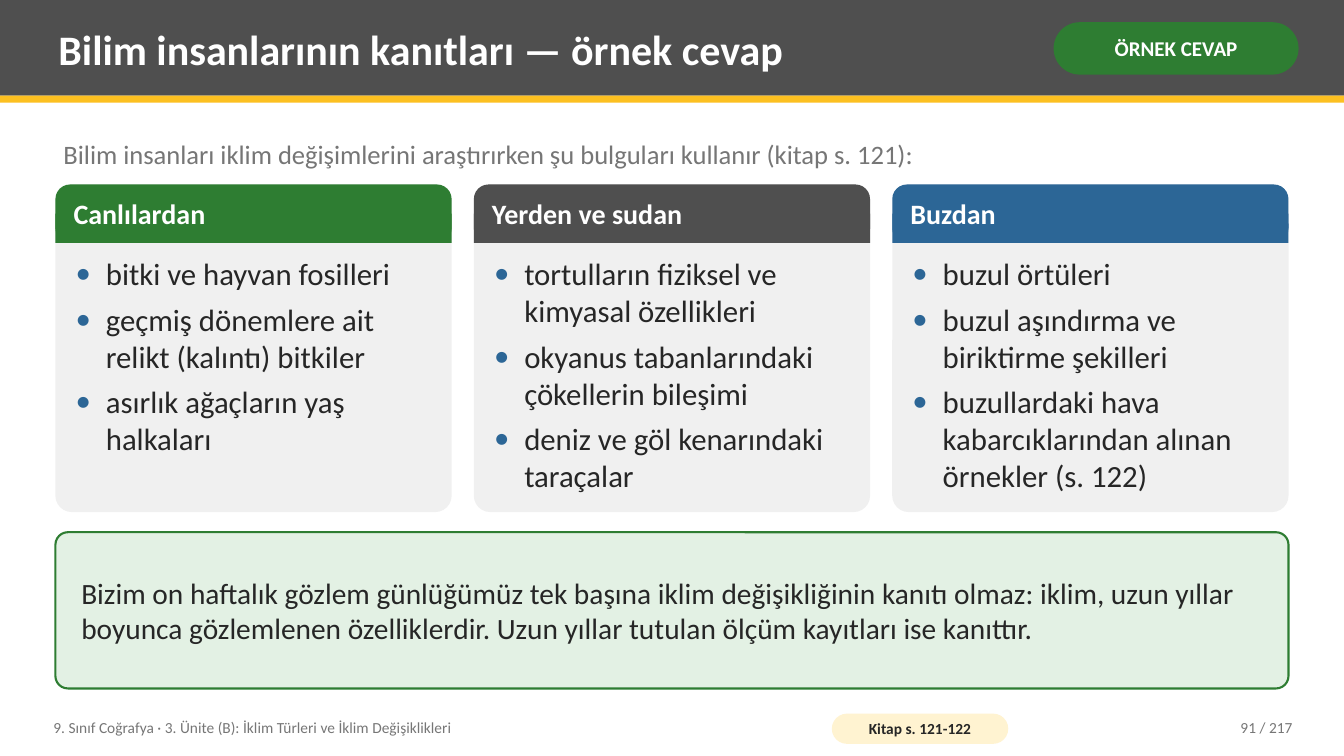
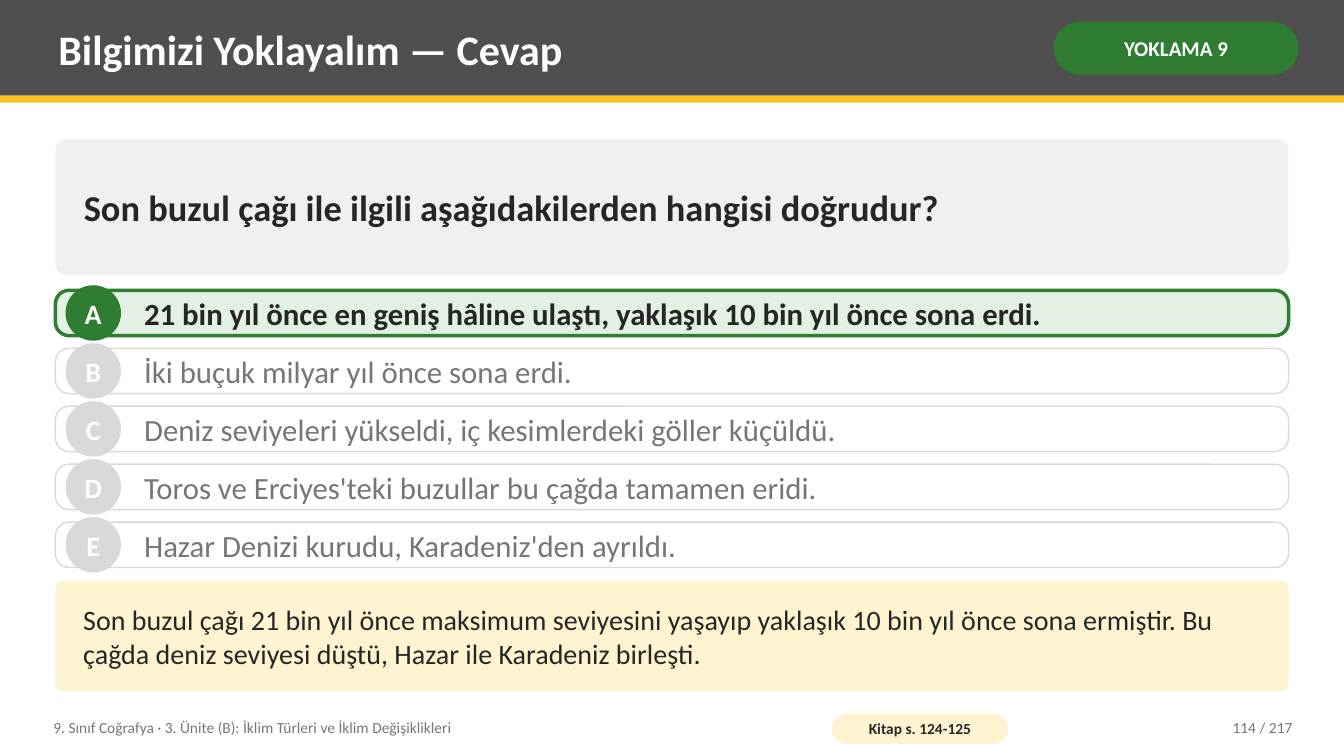
import dataclasses
from typing import Optional

import lxml.etree
import pptx
import pptx.dml.color
import pptx.enum.shapes
import pptx.enum.text
import pptx.oxml.ns
import pptx.presentation
import pptx.shapes.autoshape
import pptx.slide
import pptx.text.text
import pptx.util

Inches = pptx.util.Inches
Kind = pptx.enum.shapes.MSO_SHAPE
Align = pptx.enum.text.PP_ALIGN
Anchor = pptx.enum.text.MSO_ANCHOR

# Shared look
FONT = "Calibri"
WHITE, INK, MUTED = "FFFFFF", "262626", "767676"
CHARCOAL, PANEL, SILVER = "4F4F4F", "F0F0F0", "D9D9D9"
GREEN, PALE_GREEN = "2E7D32", "E3F1E4"
AMBER, CREAM, BLUE = "FCC021", "FFF3D1", "2C6696"

SLIDE_WIDTH, SLIDE_HEIGHT = 13.33, 7.5
LEFT, CONTENT_WIDTH = 0.55, 12.23
UNIT = "9. Sınıf Coğrafya · 3. Ünite (B): İklim Türleri ve İklim Değişiklikleri"
SLIDE_COUNT = 217


@dataclasses.dataclass(frozen=True)
class Box:
    left: float
    top: float
    width: float
    height: float


@dataclasses.dataclass(frozen=True)
class TextStyle:
    size: float
    color: str = INK
    bold: bool = False
    align: Align = Align.LEFT
    anchor: Anchor = Anchor.MIDDLE
    inset_x: float = 0.08
    inset_y: float = 0.04
    wrap: bool = True


@dataclasses.dataclass(frozen=True)
class Frame:
    title: str
    badge: str
    pages: str
    number: int


@dataclasses.dataclass(frozen=True)
class Card:
    heading: str
    color: str
    findings: list[str]


@dataclasses.dataclass(frozen=True)
class Option:
    letter: str
    answer: str
    correct: bool = False


def rgb(color: str) -> pptx.dml.color.RGBColor:
    return pptx.dml.color.RGBColor.from_string(color)


# Text and shape helpers
def write(text_frame: pptx.text.text.TextFrame, text: str, style: TextStyle) -> None:
    text_frame.text = text
    text_frame.word_wrap = style.wrap
    text_frame.vertical_anchor = style.anchor
    text_frame.margin_left = text_frame.margin_right = Inches(style.inset_x)
    text_frame.margin_top = text_frame.margin_bottom = Inches(style.inset_y)
    for paragraph in text_frame.paragraphs:
        paragraph.alignment = style.align
        for run in paragraph.runs:
            run.font.name = FONT
            run.font.size = pptx.util.Pt(style.size)
            run.font.bold = style.bold
            run.font.color.rgb = rgb(style.color)


def add_text(slide: pptx.slide.Slide, box: Box, text: str,
             style: TextStyle) -> pptx.text.text.TextFrame:
    shape = slide.shapes.add_textbox(
        Inches(box.left), Inches(box.top), Inches(box.width), Inches(box.height))
    write(shape.text_frame, text, style)
    return shape.text_frame


def add_shape(slide: pptx.slide.Slide, box: Box, fill: str, kind: Kind = Kind.RECTANGLE,
              rounding: Optional[float] = None, line: Optional[str] = None,
              line_width: float = 1) -> pptx.shapes.autoshape.Shape:
    shape = slide.shapes.add_shape(
        kind, Inches(box.left), Inches(box.top), Inches(box.width), Inches(box.height))
    shape.shadow.inherit = False
    shape.fill.solid()
    shape.fill.fore_color.rgb = rgb(fill)
    if rounding is not None:
        shape.adjustments[0] = rounding
    if line:
        shape.line.color.rgb = rgb(line)
        shape.line.width = pptx.util.Pt(line_width)
    else:
        shape.line.fill.background()
    return shape


def add_rounded(slide: pptx.slide.Slide, box: Box, fill: str, rounding: float,
                line: Optional[str] = None,
                line_width: float = 1) -> pptx.shapes.autoshape.Shape:
    return add_shape(slide, box, fill, Kind.ROUNDED_RECTANGLE, rounding, line, line_width)


def add_bullet(paragraph: pptx.text.text._Paragraph, color: str, indent: float) -> None:
    qn = pptx.oxml.ns.qn
    properties = paragraph._p.get_or_add_pPr()
    properties.set("marL", str(Inches(indent)))
    properties.set("indent", str(-Inches(indent)))
    bullet_color = lxml.etree.SubElement(properties, qn("a:buClr"))
    lxml.etree.SubElement(bullet_color, qn("a:srgbClr"), val=color)
    lxml.etree.SubElement(properties, qn("a:buFont"), typeface=FONT)
    lxml.etree.SubElement(properties, qn("a:buChar"), char="•")


# Title band and footer
def add_framed_slide(presentation: pptx.presentation.Presentation,
                     frame: Frame) -> pptx.slide.Slide:
    slide = presentation.slides.add_slide(presentation.slide_layouts[6])
    add_shape(slide, Box(0, 0, SLIDE_WIDTH, 0.95), CHARCOAL)
    add_shape(slide, Box(0, 0.95, SLIDE_WIDTH, 0.07), AMBER)
    add_text(slide, Box(0.5, 0.07, 9.75, 0.82), frame.title, TextStyle(30, WHITE, True))
    badge = add_rounded(slide, Box(10.45, 0.22, 2.43, 0.52), GREEN, 0.5)
    write(badge.text_frame, frame.badge,
          TextStyle(15, WHITE, True, Align.CENTER, inset_x=0.05, inset_y=0.02))

    add_text(slide, Box(0.45, 7.04, 7.6, 0.36), UNIT, TextStyle(11, MUTED))
    pages = add_rounded(slide, Box(8.25, 7.08, 1.75, 0.3), CREAM, 0.5)
    write(pages.text_frame, f"Kitap s. {frame.pages}",
          TextStyle(11, INK, True, Align.CENTER, inset_x=0.04, inset_y=0))
    add_text(slide, Box(11.3, 7.04, 1.6, 0.36), f"{frame.number} / {SLIDE_COUNT}",
             TextStyle(11, MUTED, align=Align.RIGHT))
    return slide


# Repeated parts
def add_card(slide: pptx.slide.Slide, box: Box, card: Card) -> None:
    header = 0.58
    add_rounded(slide, box, PANEL, 0.05)
    add_rounded(slide, Box(box.left, box.top, box.width, header), card.color, 0.25)
    add_shape(slide, Box(box.left, box.top + header / 2, box.width, header / 2), card.color)
    add_text(slide, Box(box.left + 0.1, box.top, box.width - 0.2, header),
             card.heading, TextStyle(20, WHITE, True))
    body = Box(box.left + 0.12, box.top + header + 0.08,
               box.width - 0.24, box.height - header - 0.16)
    text_frame = add_text(slide, body, "\n".join(card.findings),
                          TextStyle(22, anchor=Anchor.TOP))
    for paragraph in text_frame.paragraphs:
        add_bullet(paragraph, BLUE, 0.3)
    for paragraph in text_frame.paragraphs[:-1]:
        paragraph.space_after = pptx.util.Pt(6)


def add_option(slide: pptx.slide.Slide, box: Box, option: Option) -> None:
    accent = GREEN if option.correct else SILVER
    add_rounded(slide, box, PALE_GREEN if option.correct else WHITE, 0.3,
                accent, 2.5 if option.correct else 1)
    diameter = 0.55
    marker = add_shape(
        slide, Box(box.left + 0.1, box.top + (box.height - diameter) / 2, diameter, diameter),
        accent, Kind.OVAL)
    write(marker.text_frame, option.letter,
          TextStyle(20, WHITE, True, Align.CENTER, inset_x=0, inset_y=0, wrap=False))
    add_text(slide, Box(box.left + 0.8, box.top, box.width - 1, box.height), option.answer,
             TextStyle(22, INK if option.correct else MUTED, option.correct))


# Slides
def build_evidence_slide(presentation: pptx.presentation.Presentation) -> None:
    slide = add_framed_slide(presentation, Frame(
        "Bilim insanlarının kanıtları — örnek cevap", "ÖRNEK CEVAP", "121-122", 91))
    add_text(slide, Box(LEFT, 1.28, CONTENT_WIDTH, 0.5),
             "Bilim insanları iklim değişimlerini araştırırken şu bulguları kullanır "
             "(kitap s. 121):", TextStyle(19, MUTED))
    cards = [
        Card("Canlılardan", GREEN, [
            "bitki ve hayvan fosilleri",
            "geçmiş dönemlere ait relikt (kalıntı) bitkiler",
            "asırlık ağaçların yaş halkaları"]),
        Card("Yerden ve sudan", CHARCOAL, [
            "tortulların fiziksel ve kimyasal özellikleri",
            "okyanus tabanlarındaki çökellerin bileşimi",
            "deniz ve göl kenarındaki taraçalar"]),
        Card("Buzdan", BLUE, [
            "buzul örtüleri",
            "buzul aşındırma ve biriktirme şekilleri",
            "buzullardaki hava kabarcıklarından alınan örnekler (s. 122)"]),
    ]
    gap = 0.22
    width = (CONTENT_WIDTH - gap * (len(cards) - 1)) / len(cards)
    for index, card in enumerate(cards):
        add_card(slide, Box(LEFT + index * (width + gap), 1.83, width, 3.25), card)

    conclusion = add_rounded(slide, Box(LEFT, 5.28, CONTENT_WIDTH, 1.55),
                             PALE_GREEN, 0.08, GREEN, 1.5)
    write(conclusion.text_frame,
          "Bizim on haftalık gözlem günlüğümüz tek başına iklim değişikliğinin kanıtı olmaz: "
          "iklim, uzun yıllar boyunca gözlemlenen özelliklerdir. Uzun yıllar tutulan ölçüm "
          "kayıtları ise kanıttır.", TextStyle(21, inset_x=0.22, inset_y=0.08))


def build_quiz_slide(presentation: pptx.presentation.Presentation) -> None:
    slide = add_framed_slide(presentation, Frame(
        "Bilgimizi Yoklayalım — Cevap", "YOKLAMA 9", "124-125", 114))
    question = add_rounded(slide, Box(LEFT, 1.38, CONTENT_WIDTH, 1.35), PANEL, 0.08)
    write(question.text_frame, "Son buzul çağı ile ilgili aşağıdakilerden hangisi doğrudur?",
          TextStyle(26, bold=True, inset_x=0.25, inset_y=0.08))

    options = [
        Option("A", "21 bin yıl önce en geniş hâline ulaştı, "
                    "yaklaşık 10 bin yıl önce sona erdi.", correct=True),
        Option("B", "İki buçuk milyar yıl önce sona erdi."),
        Option("C", "Deniz seviyeleri yükseldi, iç kesimlerdeki göller küçüldü."),
        Option("D", "Toros ve Erciyes'teki buzullar bu çağda tamamen eridi."),
        Option("E", "Hazar Denizi kurudu, Karadeniz'den ayrıldı."),
    ]
    first_top, last_top = 2.88, 5.18
    pitch = (last_top - first_top) / (len(options) - 1)
    for index, option in enumerate(options):
        add_option(slide, Box(LEFT, first_top + index * pitch, CONTENT_WIDTH, 0.45), option)

    explanation = add_rounded(slide, Box(LEFT, 5.76, CONTENT_WIDTH, 1.1), CREAM, 0.08)
    write(explanation.text_frame,
          "Son buzul çağı 21 bin yıl önce maksimum seviyesini yaşayıp yaklaşık 10 bin yıl önce "
          "sona ermiştir. Bu çağda deniz seviyesi düştü, Hazar ile Karadeniz birleşti.",
          TextStyle(20, inset_x=0.25, inset_y=0.08))


def main() -> None:
    presentation = pptx.Presentation()
    presentation.slide_width = Inches(SLIDE_WIDTH)
    presentation.slide_height = Inches(SLIDE_HEIGHT)
    build_evidence_slide(presentation)
    build_quiz_slide(presentation)
    presentation.save("out.pptx")


if __name__ == "__main__":
    main()
